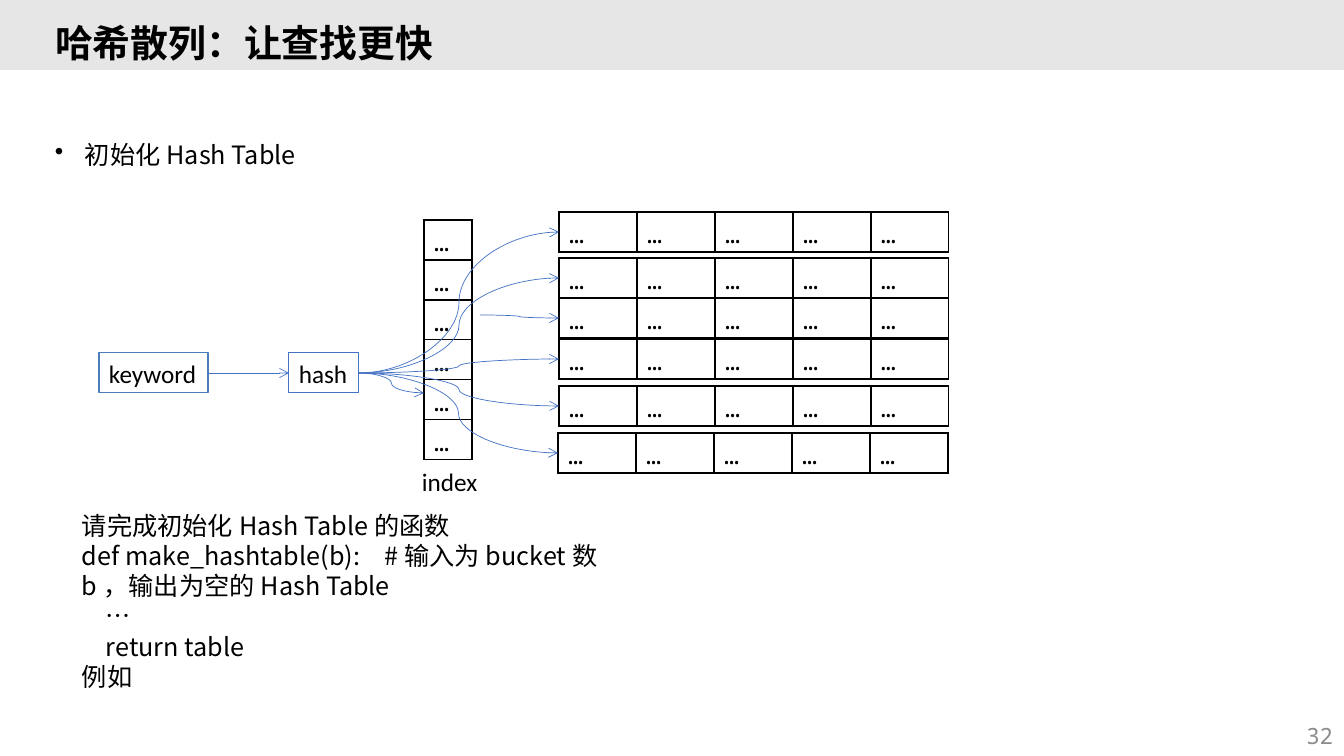
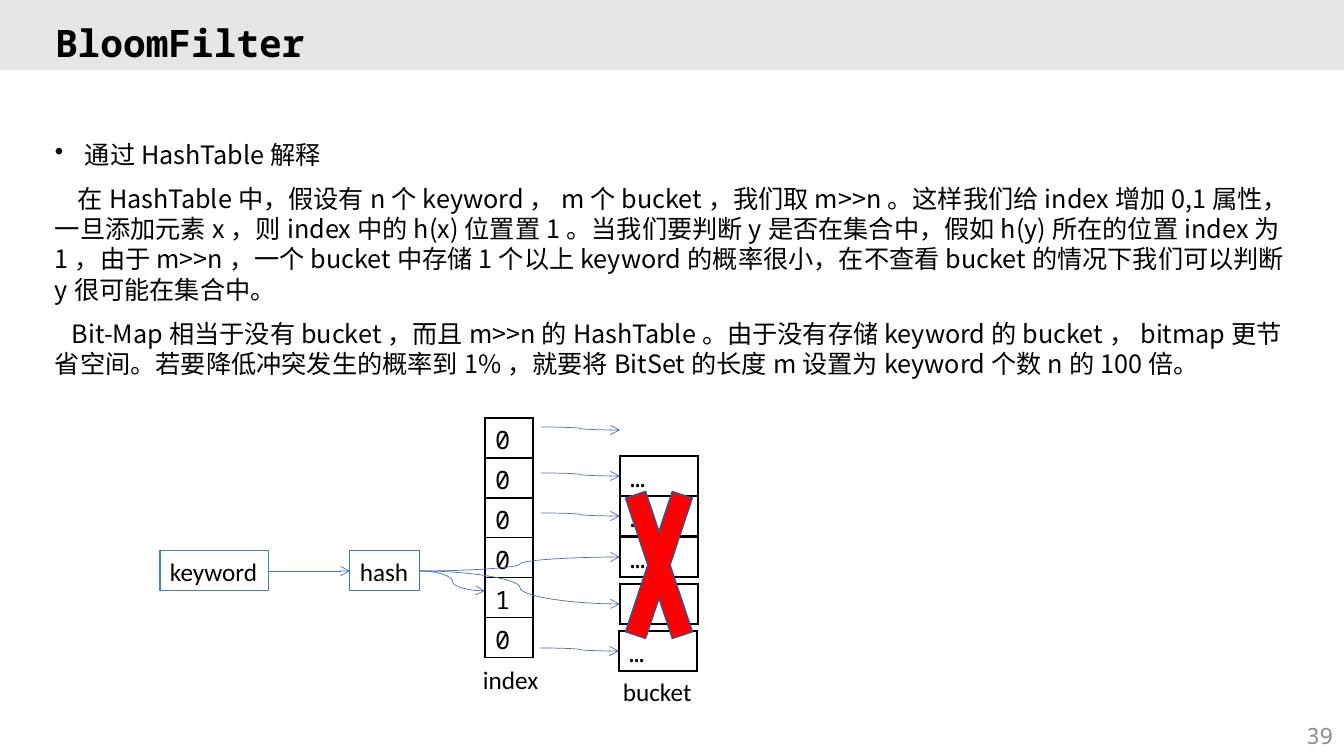
from lxml import etree
from pptx import Presentation
from pptx.dml.color import RGBColor
from pptx.enum.shapes import MSO_CONNECTOR, MSO_SHAPE
from pptx.enum.text import MSO_ANCHOR, PP_ALIGN
from pptx.oxml.ns import qn
from pptx.util import Emu, Pt

STRAIGHT, CURVE = MSO_CONNECTOR.STRAIGHT, MSO_CONNECTOR.CURVE
RECT, CROSS = MSO_SHAPE.RECTANGLE, MSO_SHAPE.MATH_MULTIPLY
LEFT, RIGHT, MIDDLE = PP_ALIGN.LEFT, PP_ALIGN.RIGHT, MSO_ANCHOR.MIDDLE
W, H = 1344, 756
PX = 12192000 / W  # EMU in one px
SANS, MONO, LABEL = "Noto Sans CJK SC", "Noto Sans Mono", "Calibri"
C = {k: RGBColor.from_string(v) for k, v in {
    "band": "E7E6E6", "text": "000000", "number": "8C8C8C", "keyword": "4A7EBB",
    "blue": "4472C4", "cross": "FF0000", "cross_line": "325491"}.items()}


def write(p, text, font, size=18, color="text", bold=False, ea=None, align=LEFT):
    p.alignment = align
    r = p.add_run()
    r.text = text
    for name, value in {"name": font, "size": Pt(size), "bold": bold}.items():
        setattr(r.font, name, value)
    r.font.color.rgb = C[color]
    etree.SubElement(r.font._element, qn("a:ea")).set("typeface", ea or font)


def add_text(s, box, paras, before=0):
    """paras: (text, left margin px, first-line indent px, bulleted)"""
    tf = s.shapes.add_textbox(*[Emu(round(v * PX)) for v in box]).text_frame
    tf.word_wrap = True
    for i, (text, margin, indent, bulleted) in enumerate(paras):
        p = tf.paragraphs[0] if i == 0 else tf.add_paragraph()
        write(p, text, SANS)
        p.line_spacing = Pt(21.6)
        p.space_before = Pt(before if i else 0)
        pPr = p._p.get_or_add_pPr()
        pPr.set("marL", str(round(margin * PX)))
        pPr.set("indent", str(round(indent * PX)))
        if bulleted:
            etree.SubElement(pPr, qn("a:buChar")).set("char", "•")


# Content: the diagram is the same on both slides, moved by "offset".
# "from_hash" lists the bucket rows that the hash box points at.
SLIDES = [
    {"title": "哈希散列：让查找更快", "number": "32", "offset": (0, 0),
     "body": [("初始化Hash Table", 30, -30, True)],
     "index": "……………………"[:6], "columns": 5, "first_row": 0,
     "from_hash": (0, 1, 3, 4, 5), "labels": [("index", 412, 461, 76)]},
    {"title": "BloomFilter", "number": "39", "offset": (61, 198),
     "body": [
         ("通过HashTable解释", 30, -30, True),
         ("在HashTable中，假设有n个keyword，m个bucket，我们取m>>n。这样我们给index增加0,1属性，"
          "一旦添加元素x，则index中的h(x)位置置1。当我们要判断y是否在集合中，假如h(y)所在的位置"
          "index为1，由于m>>n，一个bucket中存储1个以上keyword的概率很小，在不查看bucket的情况下"
          "我们可以判断y很可能在集合中。", 0, 23, False),
         ("Bit-Map相当于没有bucket，而且m>>n的HashTable。由于没有存储keyword的bucket，"
          "bitmap更节省空间。若要降低冲突发生的概率到1%，就要将BitSet的长度m设置为keyword个数n的"
          "100倍。", 0, 17, False)],
     "index": "000010", "columns": 1, "first_row": 1, "from_hash": (3, 4),
     "labels": [("bucket", 552, 473, 90), ("index", 412, 461, 76)]},
]
CODE = [("请完成初始化Hash Table的函数", 19, 0, False),
        ("def make_hashtable(b):\t#输入为bucket数b，输出为空的Hash Table", 19, 0, False),
        ("…", 43, 0, False), ("return table", 43, 0, False), ("例如", 19, 0, False)]
BUCKETS = [(559, 212), (559, 258), (559, 298), (559, 339), (559, 386), (558, 433)]
ROW, INDEX_W, BUCKET_W = 40, 48, 78

prs = Presentation()
prs.slide_width, prs.slide_height = Emu(12192000), Emu(6858000)
layout = prs.slide_layouts[5]

for n, d in enumerate(SLIDES):
    s = prs.slides.add_slide(layout)
    ox, oy = d["offset"]

    # Title band, kept on the shared layout
    if n == 0:
        band = s.shapes.add_shape(RECT, 0, 0, prs.slide_width, Emu(round(70 * PX)))
        band.shadow.inherit = False
        band.fill.solid()
        band.fill.fore_color.rgb = C["band"]
        band.line.fill.background()
        band._element.nvSpPr.cNvPr.set("id", "90")
        layout.shapes._spTree.insert(2, band._element)

    # Title
    title = s.shapes.title
    for name, v in {"left": 45, "top": 11, "width": 1261, "height": 68}.items():
        setattr(title, name, Emu(round(v * PX)))
    title.text_frame.vertical_anchor = MIDDLE
    p = title.text_frame.paragraphs[0]
    p.line_spacing = 0.9
    write(p, d["title"], MONO, 27, bold=True, ea=SANS)

    # Body text and slide number
    add_text(s, (45, 134, 1261, 260), d["body"], before=10)
    box = [Emu(round(v * PX)) for v in (1041, 716, 302, 40)]
    tf = s.shapes.add_textbox(*box).text_frame
    tf.vertical_anchor = MIDDLE
    tf.word_wrap = True
    write(tf.paragraphs[0], d["number"], MONO, 16, "number", align=RIGHT)

    # Keyword and hash boxes
    boxes = []
    for text, x, w, color in (("keyword", 99, 109, "keyword"), ("hash", 289, 70, "blue")):
        sp = s.shapes.add_shape(RECT, *[Emu(round(v * PX)) for v in (x + ox, 353 + oy, w, ROW)])
        sp.shadow.inherit = False
        sp.fill.background()
        sp.line.color.rgb = C[color]
        sp.line.width = Pt(0.75)
        sp.text_frame.word_wrap = False
        write(sp.text_frame.paragraphs[0], text, LABEL)
        boxes.append(sp)

    # Index and bucket tables
    tables = [(424, 220, INDEX_W, list(d["index"]))]
    tables += [(x, y, BUCKET_W, ["…" * d["columns"]]) for x, y in BUCKETS[d["first_row"]:]]
    for x, y, w, rows in tables:
        cols = len(rows[0])
        box = (x + ox, y + oy, w * cols, ROW * len(rows))
        tbl = s.shapes.add_table(len(rows), cols, *[Emu(round(v * PX)) for v in box]).table
        tbl.first_row = tbl.horz_banding = False
        for i, row in enumerate(rows):
            for j, text in enumerate(row):
                cell = tbl.cell(i, j)
                write(cell.text_frame.paragraphs[0], text, MONO)
                cell.margin_top, cell.margin_bottom = Emu(round(5 * PX)), 0
                tcPr = cell._tc.get_or_add_tcPr()
                for side in ("lnL", "lnR", "lnT", "lnB"):
                    ln = etree.SubElement(tcPr, qn("a:" + side), w=str(Pt(1)))
                    fill = etree.SubElement(ln, qn("a:solidFill"))
                    etree.SubElement(fill, qn("a:srgbClr")).set("val", str(C["text"]))
                cell.fill.background()

    # Arrows: keyword to hash, hash to index, then one to each bucket row
    arrows = [(STRAIGHT, 208, 373, 289, 373), (CURVE, 359, 373, 424, 393)]
    for i, (x, y) in enumerate(BUCKETS):
        end = y + ROW // 2
        start = (359, 373) if i in d["from_hash"] else (x - 79, end - 3)
        arrows.append((CURVE, *start, x, end))
    for kind, x1, y1, x2, y2 in arrows:
        ends = (x1 + ox, y1 + oy, x2 + ox, y2 + oy)
        cxn = s.shapes.add_connector(kind, *[Emu(round(v * PX)) for v in ends])
        if kind == STRAIGHT:
            cxn.begin_connect(boxes[0], 3)
            cxn.end_connect(boxes[1], 1)
        cxn.line.color.rgb = C["blue"]
        cxn.line.width = Pt(0.5)
        etree.SubElement(cxn.line._get_or_add_ln(), qn("a:tailEnd")).set("type", "arrow")
        etree.SubElement(cxn._element.spPr, qn("a:effectLst"))

    # Labels under the tables
    for text, x, y, w in d["labels"]:
        box = [Emu(round(v * PX)) for v in (x + ox, y + oy, w, ROW)]
        tf = s.shapes.add_textbox(*box).text_frame
        tf.word_wrap = False
        write(tf.paragraphs[0], text, LABEL)

    # Exercise on the first slide, cross over the buckets on the second
    if n == 0:
        add_text(s, (53, 505, 605, 194), CODE)
    else:
        cross = s.shapes.add_shape(CROSS, *[Emu(round(v * PX)) for v in (614, 430, 90, 270)])
        cross.shadow.inherit = False
        cross.fill.solid()
        cross.fill.fore_color.rgb = C["cross"]
        cross.line.color.rgb = C["cross_line"]
        cross.line.width = Pt(1)

prs.save("out.pptx")
